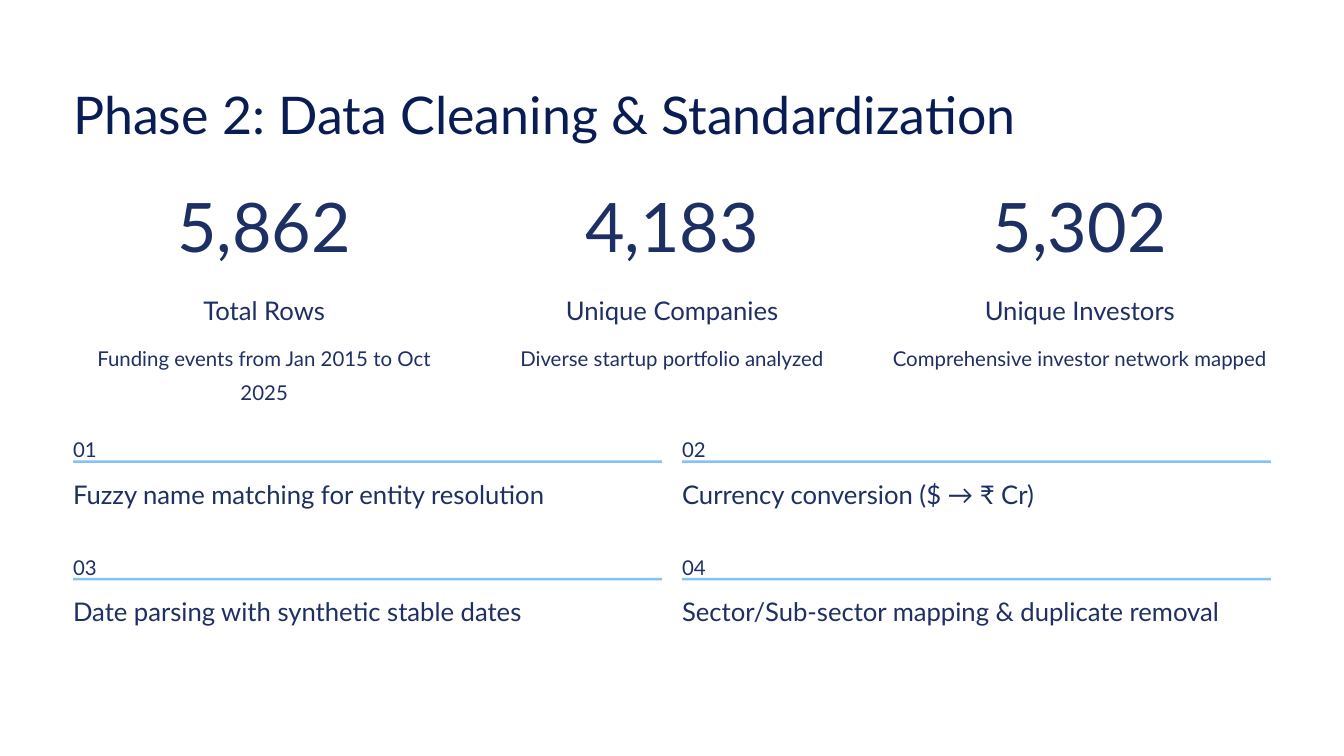
from dataclasses import dataclass

from pptx import Presentation
from pptx.dml.color import RGBColor
from pptx.enum import shapes, text
from pptx.util import Inches, Pt


@dataclass(frozen=True)
class Style:
    size: float
    leading: float
    color: str


@dataclass(frozen=True)
class Theme:
    font: str = "Lato"
    background: str = "FFFFFF"
    rule: str = "84C1FA"
    title: Style = Style(44.5, 55.5, "091C53")
    figure: Style = Style(58.5, 58.5, "1E3063")
    label: Style = Style(22, 27.5, "1E3063")
    detail: Style = Style(17.5, 28.5, "1E3063")


@dataclass(frozen=True)
class Stat:
    figure: str
    label: str
    detail: str


@dataclass(frozen=True)
class Step:
    number: str
    label: str


THEME = Theme()
LEFT = 0.87
STAT_WIDTH, STAT_PITCH = 4.55, 4.855
STEP_WIDTH, STEP_PITCH = 7.01, 7.25
STEP_TOP, ROW_PITCH = 5.1, 1.4

STATS = [
    Stat("5,862", "Total Rows", "Funding events from Jan 2015 to Oct 2025"),
    Stat("4,183", "Unique Companies", "Diverse startup portfolio analyzed"),
    Stat("5,302", "Unique Investors", "Comprehensive investor network mapped"),
]
STEPS = [
    Step("01", "Fuzzy name matching for entity resolution"),
    Step("02", "Currency conversion ($ → ₹ Cr)"),
    Step("03", "Date parsing with synthetic stable dates"),
    Step("04", "Sector/Sub-sector mapping & duplicate removal"),
]


def write(box, words: str, *, style: Style, centered: bool = False) -> None:
    frame = box.text_frame
    frame.word_wrap = True
    frame.auto_size = text.MSO_AUTO_SIZE.NONE
    frame.vertical_anchor = text.MSO_ANCHOR.TOP
    frame.margin_left = frame.margin_right = frame.margin_top = frame.margin_bottom = 0
    para = frame.paragraphs[0]
    para.alignment = text.PP_ALIGN.CENTER if centered else text.PP_ALIGN.LEFT
    para.line_spacing = Pt(style.leading)
    para.space_before = Pt(0)
    span = para.add_run()
    span.text = words
    span.font.name = THEME.font
    span.font.size = Pt(style.size)
    span.font.color.rgb = RGBColor.from_string(style.color)


def add_text(page, words: str, left: float, top: float, width: float, height: float,
             *, style: Style, centered: bool = False) -> None:
    box = page.shapes.add_textbox(Inches(left), Inches(top), Inches(width), Inches(height))
    write(box, words, style=style, centered=centered)


def add_title(page, words: str) -> None:
    title = page.shapes.title
    title.left, title.top = Inches(LEFT), Inches(0.96)
    title.width, title.height = Inches(12.06), Inches(0.78)
    write(title, words, style=THEME.title)


def add_stat(page, stat: Stat, left: float) -> None:
    lines = [
        (stat.figure, 2.36, 0.82, THEME.figure),
        (stat.label, 3.49, 0.39, THEME.label),
        (stat.detail, 4.02, 0.79, THEME.detail),
    ]
    for words, top, height, style in lines:
        add_text(page, words, left, top, STAT_WIDTH, height, style=style, centered=True)


def add_step(page, step: Step, left: float, top: float) -> None:
    add_text(page, step.number, left, top, 0.5, 0.31, style=THEME.detail)
    rule = page.shapes.add_shape(shapes.MSO_SHAPE.RECTANGLE, Inches(left), Inches(top + 0.38),
                                 Inches(STEP_WIDTH), Inches(0.03))
    rule.shadow.inherit = False
    rule.fill.solid()
    rule.fill.fore_color.rgb = RGBColor.from_string(THEME.rule)
    rule.line.fill.background()
    add_text(page, step.label, left, top + 0.58, STEP_WIDTH, 0.39, style=THEME.label)


def main() -> None:
    deck = Presentation()
    deck.slide_width, deck.slide_height = Inches(16), Inches(9)
    page = deck.slides.add_slide(deck.slide_layouts.get_by_name("Title Only"))
    page.background.fill.solid()
    page.background.fill.fore_color.rgb = RGBColor.from_string(THEME.background)

    add_title(page, "Phase 2: Data Cleaning & Standardization")
    for column, stat in enumerate(STATS):
        add_stat(page, stat, LEFT + column * STAT_PITCH)
    for index, step in enumerate(STEPS):
        row, column = divmod(index, 2)
        add_step(page, step, LEFT + column * STEP_PITCH, STEP_TOP + row * ROW_PITCH)

    deck.save("out.pptx")


if __name__ == "__main__":
    main()
